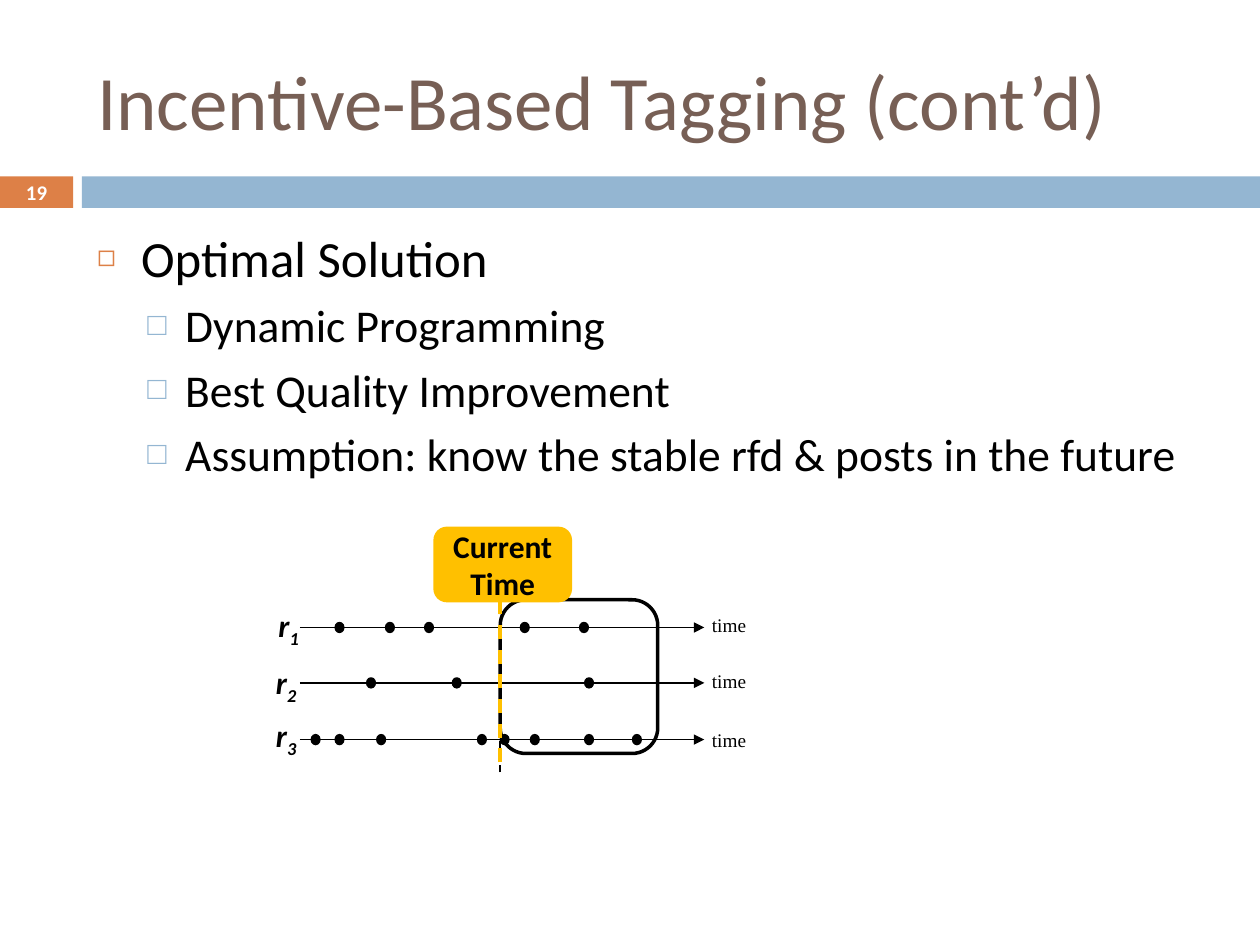
from lxml import etree
from pptx import Presentation
from pptx.dml.color import RGBColor
from pptx.enum.dml import MSO_LINE_DASH_STYLE as Dash
from pptx.enum.shapes import MSO_CONNECTOR as Connector, MSO_SHAPE as Shape
from pptx.enum.text import MSO_ANCHOR as Anchor, MSO_AUTO_SIZE as AutoSize, PP_ALIGN as Align
from pptx.oxml.ns import qn
from pptx.util import Inches, Pt

BLACK, WHITE, BROWN = "000000", "FFFFFF", "775F55"
ORANGE, BLUE, AMBER = "DD8047", "94B6D2", "FFC000"

BULLETS = [
    (0, "Optimal Solution"),
    (1, "Dynamic Programming"),
    (1, "Best Quality Improvement"),
    (1, "Assumption: know the stable rfd & posts in the future"),
]
# level: size, left indent, hanging indent, space before, bullet, colour, bullet percent
LEVELS = [
    (29, 0.35, 0.35, 7, "◻", ORANGE, 60),
    (26, 0.7, 0.3, 5.5, "□", BLUE, 70),
]
# subscript, axis y, label x, label y, "time" y, left edges of the posts
TIMELINES = [
    ("1", 0.79, 0.02, 0.62, 0.68, [0.47, 0.87, 1.18, 1.94, 2.41]),
    ("2", 1.23, 0, 1.07, 1.12, [0.72, 1.4, 2.45]),
    ("3", 1.68, 0, 1.49, 1.59, [0.28, 0.47, 0.8, 1.6, 1.78, 2.02, 2.45, 2.83]),
]


def rgb(value):
    return RGBColor.from_string(value)


def inches(*lengths):
    return [Inches(length) for length in lengths]


def format_runs(para, size, color=BLACK, font="Calibri", bold=None, italic=None):
    for span in para.runs:
        span.font.name, span.font.size = font, Pt(size)
        span.font.bold, span.font.italic = bold, italic
        span.font.color.rgb = rgb(color)


def add_shape(page, kind, box, fill=None, line=None, width=0.75):
    shape = page.shapes.add_shape(kind, *inches(*box))
    shape.shadow.inherit = False
    if fill:
        shape.fill.solid()
        shape.fill.fore_color.rgb = rgb(fill)
    else:
        shape.fill.background()
    if line:
        shape.line.color.rgb = rgb(line)
        shape.line.width = Pt(width)
    else:
        shape.line.fill.background()
    return shape


def add_line(page, start, end, color, width, dash=None, arrow=False):
    line = page.shapes.add_connector(Connector.STRAIGHT, *inches(*start, *end))
    line.line.color.rgb = rgb(color)
    line.line.width = Pt(width)
    if dash:
        line.line.dash_style = dash
    if arrow:
        etree.SubElement(line.line._get_or_add_ln(), qn("a:tailEnd"), type="triangle")
    etree.SubElement(line._element.spPr, qn("a:effectLst"))


def add_label(page, box, text):
    """Add an unwrapped text box without margins and return its paragraph."""
    frame = page.shapes.add_textbox(*inches(*box)).text_frame
    frame.margin_left = frame.margin_top = frame.margin_right = frame.margin_bottom = 0
    frame.word_wrap = False
    frame.auto_size = AutoSize.SHAPE_TO_FIT_TEXT
    frame.text = text
    return frame.paragraphs[0]


def place(holder, box):
    holder.left, holder.top, holder.width, holder.height = inches(*box)
    holder.text_frame.auto_size = AutoSize.NONE
    return holder.text_frame


def set_bullet(para, char, color, percent, left, hanging):
    properties = para._p.get_or_add_pPr()
    properties.set("marL", str(Inches(left)))
    properties.set("indent", str(-Inches(hanging)))
    bullet_color = etree.SubElement(properties, qn("a:buClr"))
    etree.SubElement(bullet_color, qn("a:srgbClr"), val=color)
    etree.SubElement(properties, qn("a:buSzPct"), val=str(percent * 1000))
    etree.SubElement(properties, qn("a:buChar"), char=char)


def fill_title(page, box):
    frame = place(page.shapes.title, box)
    frame.text = "Incentive-Based Tagging (cont’d)"
    frame.vertical_anchor = Anchor.MIDDLE
    frame.paragraphs[0].alignment = Align.LEFT
    format_runs(frame.paragraphs[0], 44, BROWN)


def add_band(page, left, top, width, height):
    number_width, gap = 0.58, 0.07
    bar_left = left + number_width + gap
    number = add_shape(page, Shape.RECTANGLE, (left, top, number_width, height), ORANGE)
    add_shape(page, Shape.RECTANGLE, (bar_left, top, left + width - bar_left, height), BLUE)
    frame = number.text_frame
    frame.margin_top = frame.margin_bottom = 0
    frame.vertical_anchor = Anchor.MIDDLE
    frame.text = "19"
    frame.paragraphs[0].alignment = Align.CENTER
    format_runs(frame.paragraphs[0], 11.9, WHITE, bold=True)


def fill_body(page, box):
    frame = place(page.placeholders[1], box)
    frame.text = "\n".join(text for _, text in BULLETS)
    for index, (para, (level, _)) in enumerate(zip(frame.paragraphs, BULLETS)):
        size, left, hanging, before, char, color, percent = LEVELS[level]
        para.level = level
        para.space_before = Pt(before if index else 0)
        set_bullet(para, char, color, percent, left, hanging)
        format_runs(para, size)


def add_timeline(page, left, top, row):
    subscript, axis, label_x, label_y, time_y, posts = row
    label = add_label(page, (left + label_x, top + label_y, 0.23, 0.3), "r")
    label.add_run().text = subscript
    format_runs(label, 18, bold=True, italic=True)
    label.runs[1].font._element.set("baseline", "-25000")

    time = add_label(page, (left + 3.46, top + time_y, 0.29, 0.18), "time")
    format_runs(time, 11, font="Times New Roman")

    axis_y = top + axis
    add_line(page, (left + 0.19, axis_y), (left + 3.4, axis_y), BLACK, 0.75, arrow=True)
    for post in posts:
        add_shape(page, Shape.OVAL, (left + post, axis_y - 0.04, 0.07, 0.08), BLACK, BLACK)


def add_diagram(page, left, top):
    for row in TIMELINES:
        add_timeline(page, left, top, row)

    now = left + 1.78
    add_line(page, (now, top + 1.94), (now, top + 0.62), BLACK, 1, Dash.DASH)
    add_shape(page, Shape.ROUNDED_RECTANGLE, (now, top + 0.57, 1.25, 1.22), line=BLACK, width=2)
    add_line(page, (now, top + 1.86), (now, top + 0.54), AMBER, 2, Dash.DASH)

    callout = add_shape(page, Shape.ROUNDED_RECTANGLE, (left + 1.26, top, 1.08, 0.58),
                        AMBER, AMBER, 1.5)
    frame = callout.text_frame
    frame.vertical_anchor = Anchor.MIDDLE
    frame.text = "Current\nTime"
    for para in frame.paragraphs:
        para.alignment = Align.CENTER
        format_runs(para, 18, bold=True)


def main():
    deck = Presentation()
    deck.slide_width, deck.slide_height = inches(10, 7.5)
    page = deck.slides.add_slide(deck.slide_layouts[1])
    add_band(page, 0, 1.4, 10, 0.25)
    fill_title(page, (0.67, 0.25, 8.92, 1.08))
    fill_body(page, (0.67, 1.75, 8.92, 4.92))
    add_diagram(page, 2.19, 4.19)
    deck.save("out.pptx")


if __name__ == "__main__":
    main()
